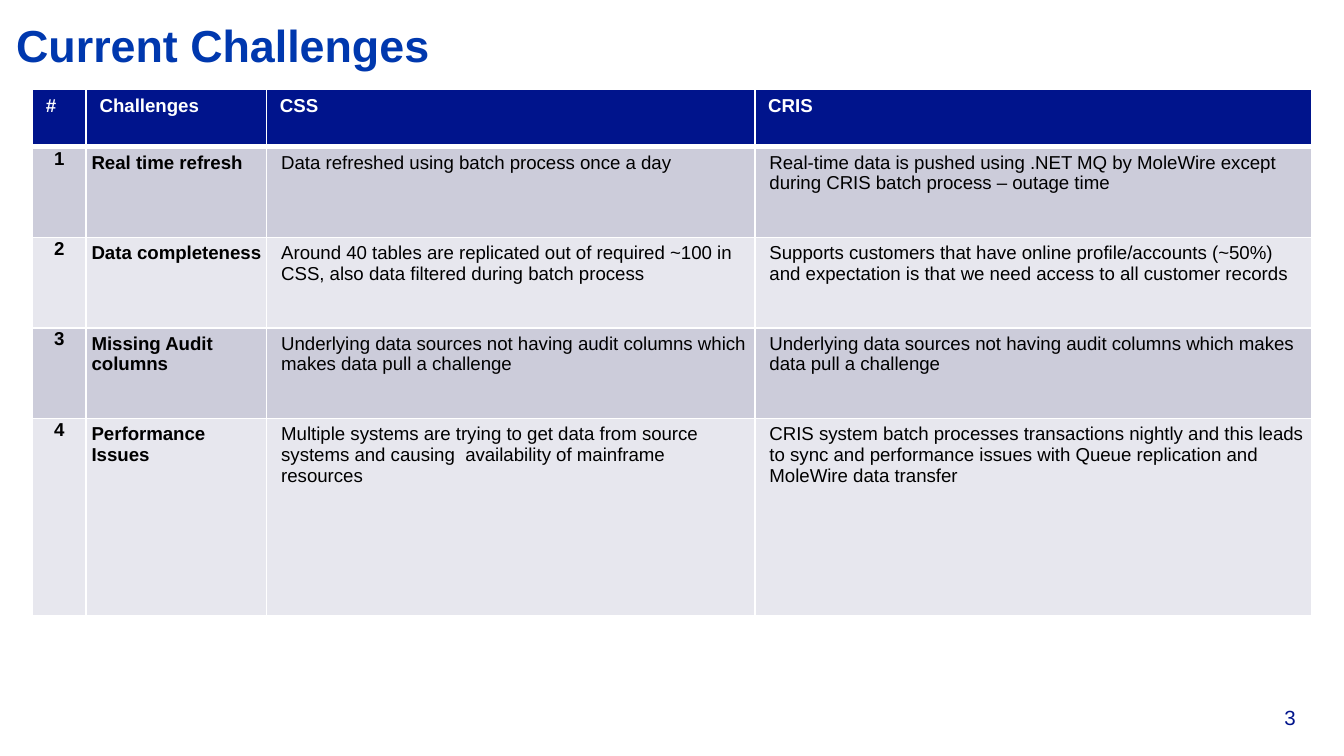
from dataclasses import dataclass

from lxml.etree import SubElement
from pptx import Presentation
from pptx.dml.color import RGBColor
from pptx.enum.text import MSO_ANCHOR, PP_ALIGN
from pptx.oxml.ns import qn
from pptx.util import Pt


@dataclass(frozen=True)
class Theme:
    font: str = "Arial"
    title_color: str = "0038AE"
    navy: str = "00148C"
    white: str = "FFFFFF"
    black: str = "000000"
    bands: tuple = ("CCCCDA", "E7E7EE")
    title_size: float = 24
    table_size: float = 10
    number_size: float = 11


COLUMN_WIDTHS = (28.8, 96.6, 261.6, 298.2)
ROW_HEIGHTS = (31, 48.5, 48.5, 48.5, 105.8)
HEADERS = ("#", "Challenges", "CSS", "CRIS")
AUDIT_GAP = ("Underlying data sources not having audit columns which makes "
             "data pull a challenge")
CHALLENGES = (
    ("Real time refresh",
     "Data refreshed using batch process once a day",
     "Real-time data is pushed using .NET MQ by MoleWire except during CRIS "
     "batch process – outage time"),
    ("Data completeness",
     "Around 40 tables are replicated out of required ~100 in CSS, also data "
     "filtered during batch process",
     "Supports customers that have online profile/accounts (~50%) and "
     "expectation is that we need access to all customer records"),
    ("Missing Audit columns", AUDIT_GAP, AUDIT_GAP),
    ("Performance Issues",
     "Multiple systems are trying to get data from source systems and "
     "causing  availability of mainframe resources",
     "CRIS system batch processes transactions nightly and this leads to sync "
     "and performance issues with Queue replication and MoleWire data transfer"),
)


class SlideBuilder:
    def __init__(self, deck, theme):
        self.theme = theme
        self.page = deck.slides.add_slide(deck.slide_layouts[5])

    def set_text(self, frame, text, size, color, bold=False, align=PP_ALIGN.LEFT):
        frame.word_wrap = True
        para = frame.paragraphs[0]
        para.text = text
        para.alignment = align
        font = para.font
        font.name, font.size, font.bold = self.theme.font, Pt(size), bold
        font.color.rgb = RGBColor.from_string(color)
        return para

    def set_margins(self, area, margin):
        area.margin_left = area.margin_right = Pt(margin)
        area.margin_top = area.margin_bottom = Pt(margin)

    def title(self, text, left, top, width, height):
        box = self.page.shapes.title
        box.left, box.top = Pt(left), Pt(top)
        box.width, box.height = Pt(width), Pt(height)
        frame = box.text_frame
        self.set_margins(frame, 0)
        frame.vertical_anchor = MSO_ANCHOR.BOTTOM
        self.set_text(frame, text, self.theme.title_size, self.theme.title_color, True)

    def page_number(self, text, left, top, width, height):
        box = self.page.shapes.add_textbox(Pt(left), Pt(top), Pt(width), Pt(height))
        frame = box.text_frame
        self.set_margins(frame, 0)
        frame.vertical_anchor = MSO_ANCHOR.BOTTOM
        self.set_text(frame, text, self.theme.number_size, self.theme.navy,
                      align=PP_ALIGN.RIGHT)

    def borders(self, cell, top, bottom):
        """Draw white borders; must run before the cell's fill is set."""
        properties = cell._tc.get_or_add_tcPr()
        for tag, width in (("a:lnL", 1), ("a:lnR", 1), ("a:lnT", top), ("a:lnB", bottom)):
            line = SubElement(properties, qn(tag), w=str(Pt(width)))
            fill = SubElement(line, qn("a:solidFill"))
            SubElement(fill, qn("a:srgbClr"), val=self.theme.white)

    def cell(self, cell, row, column, text):
        theme = self.theme
        is_header = row == 0
        self.borders(cell, 3 if row == 1 else 1, 3 if is_header else 1)
        cell.fill.solid()
        fill = theme.navy if is_header else theme.bands[(row - 1) % 2]
        cell.fill.fore_color.rgb = RGBColor.from_string(fill)
        if not is_header:
            self.set_margins(cell, 0.72 if column == 0 else 2.88)
        centred = column == 0 and not is_header
        para = self.set_text(cell.text_frame, text, theme.table_size,
                             theme.white if is_header else theme.black,
                             is_header or column < 2,
                             PP_ALIGN.CENTER if centred else PP_ALIGN.LEFT)
        if is_header or column < 2:
            para.space_after = Pt(6)
        else:
            para.level = 1
            properties = para._p.get_or_add_pPr()
            properties.set("marL", str(Pt(5)))
            properties.set("indent", "0")

    def table(self, rows, left, top):
        table = self.page.shapes.add_table(
            len(rows), len(COLUMN_WIDTHS), Pt(left), Pt(top),
            Pt(sum(COLUMN_WIDTHS)), Pt(sum(ROW_HEIGHTS))).table
        table.horz_banding = False
        for column, width in zip(table.columns, COLUMN_WIDTHS):
            column.width = Pt(width)
        for row, height in zip(table.rows, ROW_HEIGHTS):
            row.height = Pt(height)
        for r, texts in enumerate(rows):
            for c, text in enumerate(texts):
                self.cell(table.cell(r, c), r, c, text)


def main():
    deck = Presentation()
    deck.slide_width, deck.slide_height = Pt(720), Pt(405)
    slide = SlideBuilder(deck, Theme())
    slide.title("Current Challenges", 8.64, 8.64, 710.6, 29.5)
    numbered = [(str(n), *texts) for n, texts in enumerate(CHALLENGES, 1)]
    slide.table([HEADERS, *numbered], 17.4, 47.7)
    slide.page_number("3", 652.3, 377.3, 41.8, 13.7)
    deck.save("out.pptx")


if __name__ == "__main__":
    main()
